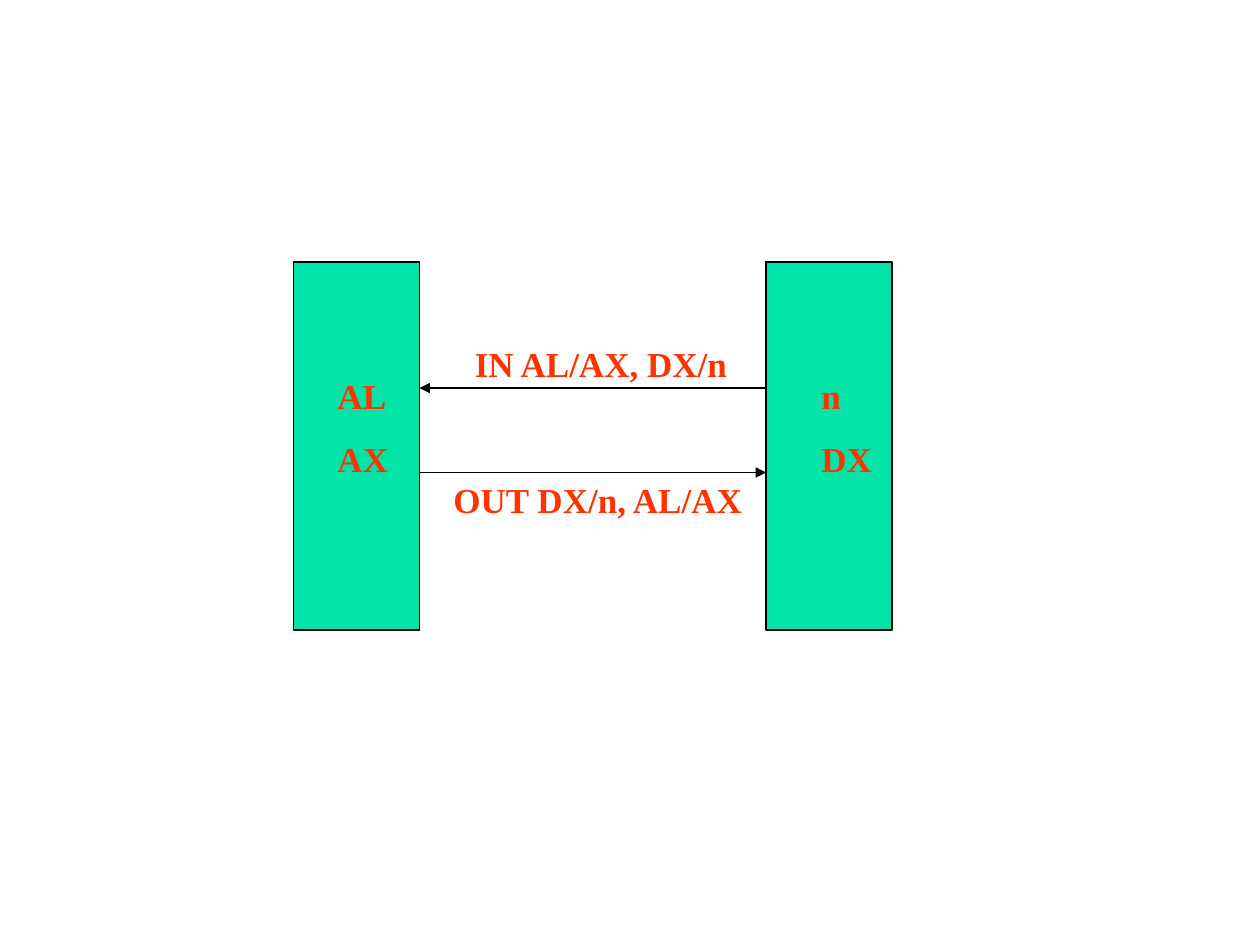
from dataclasses import dataclass

from lxml.etree import SubElement
from pptx import Presentation
from pptx.dml.color import RGBColor
from pptx.enum.shapes import MSO_CONNECTOR, MSO_SHAPE
from pptx.enum.text import MSO_AUTO_SIZE
from pptx.oxml.ns import qn
from pptx.util import Inches, Pt


@dataclass(frozen=True)
class Theme:
    font: str = "Times New Roman"
    size: float = 20
    gap: float = 12.5
    stroke: float = 0.75
    ink: RGBColor = RGBColor(0xFF, 0x33, 0x00)
    fill: RGBColor = RGBColor(0x00, 0xE4, 0xA8)
    line: RGBColor = RGBColor(0x00, 0x00, 0x00)


class Board:
    """Draws elements on one slide in one style."""

    def __init__(self, slide, theme):
        self.shapes = slide.shapes
        self.theme = theme

    def stroke(self, line):
        line.color.rgb = self.theme.line
        line.width = Pt(self.theme.stroke)

    def block(self, x, y, w, h):
        box = self.shapes.add_shape(
            MSO_SHAPE.RECTANGLE, Inches(x), Inches(y), Inches(w), Inches(h))
        box.shadow.inherit = False
        box.fill.solid()
        box.fill.fore_color.rgb = self.theme.fill
        self.stroke(box.line)

    def label(self, x, y, w, h, *lines):
        box = self.shapes.add_textbox(Inches(x), Inches(y), Inches(w), Inches(h))
        frame = box.text_frame
        frame.word_wrap = True
        frame.auto_size = MSO_AUTO_SIZE.SHAPE_TO_FIT_TEXT
        frame.text = "\n".join(lines)
        for para in frame.paragraphs:
            para.space_before = Pt(self.theme.gap)
            font = para.font
            font.name = self.theme.font
            font.size = Pt(self.theme.size)
            font.bold = True
            font.color.rgb = self.theme.ink

    def arrow(self, start, end, y):
        link = self.shapes.add_connector(
            MSO_CONNECTOR.STRAIGHT, Inches(start), Inches(y), Inches(end), Inches(y))
        self.stroke(link.line)
        props = link.line._get_or_add_ln()
        SubElement(props, qn("a:tailEnd"), type="triangle")
        SubElement(link._element.spPr, qn("a:effectLst"))


def main():
    deck = Presentation()
    deck.slide_width, deck.slide_height = Inches(10), Inches(7.5)
    board = Board(deck.slides.add_slide(deck.slide_layouts[6]), Theme())

    # Register block on the left, port block on the right
    left, right, top, width, height = 2.33, 6.08, 2.08, 1, 2.92
    for x, inset, names in ((left, 0.25, ("AL", "AX")), (right, 0.34, ("n", "DX"))):
        board.block(x, top, width, height)
        board.label(x + inset, 2.92, 0.92, 0.94, *names)

    # Transfers between the facing sides
    edge = left + width
    board.arrow(right, edge, 3.08)
    board.arrow(edge, right, 3.75)

    # Instruction names
    board.label(3.67, 2.67, 2.58, 0.44, "IN AL/AX, DX/n")
    board.label(3.5, 3.75, 2.58, 0.44, "OUT DX/n, AL/AX")

    deck.save("out.pptx")


if __name__ == "__main__":
    main()
